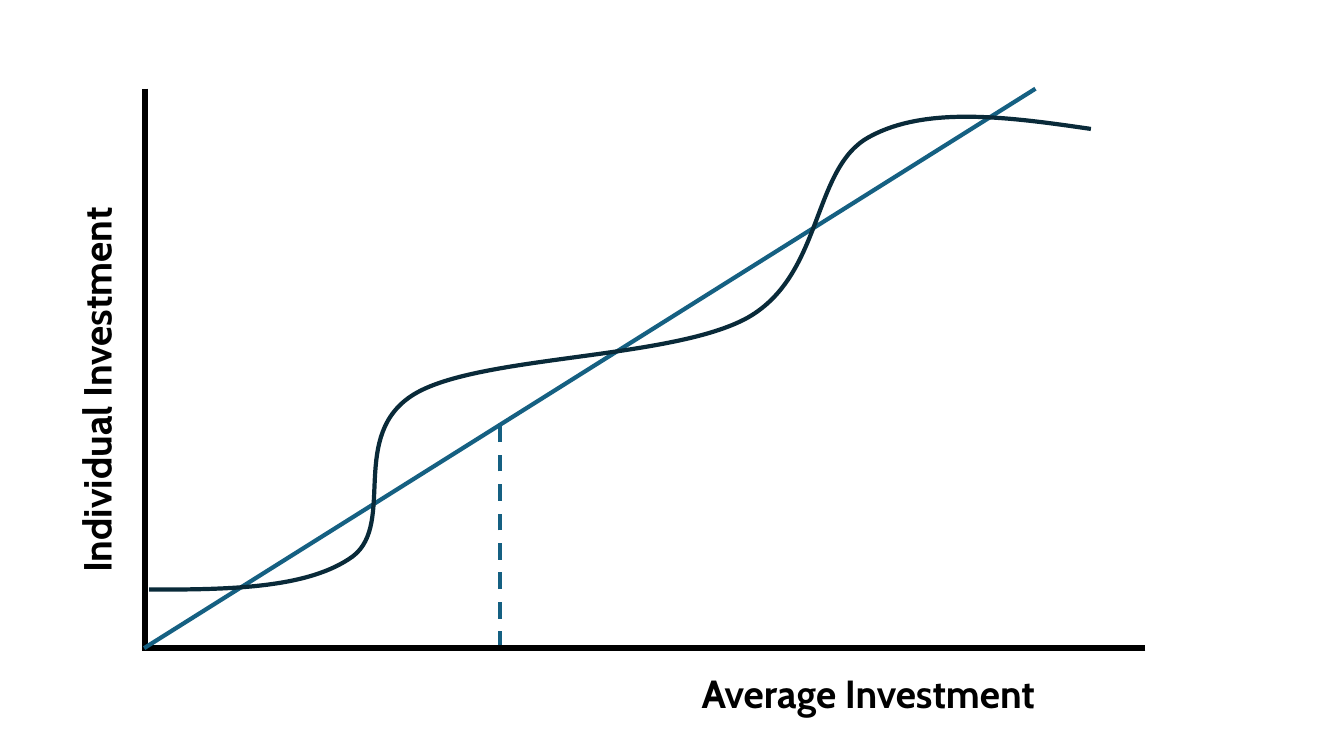
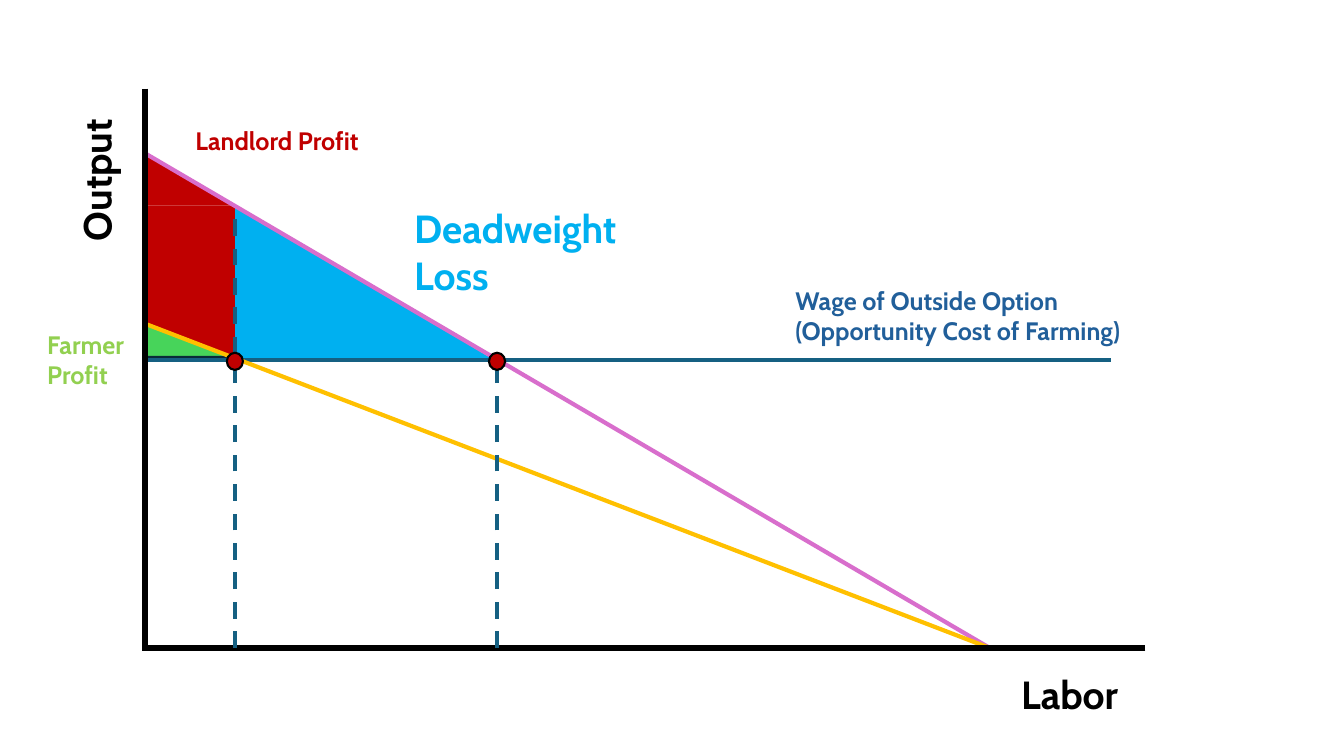
import pptx
import pptx.util
import pptx.dml.color
import pptx.enum.dml
import pptx.enum.shapes
import pptx.enum.text
import pptx.oxml.ns
import lxml.etree

SHAPE = pptx.enum.shapes.MSO_SHAPE
IN = pptx.util.Inches
QN = pptx.oxml.ns.qn

COLORS = {
    "axis": "000000",
    "guide": "156082",
    "curve": "092A39",
    "loss": "00B0F0",
    "landlord": "C00000",
    "farmer": "47D45A",
    "farmer_label": "92D050",
    "wage": "215F9A",
    "full_output": "D86ECC",
    "tenant_output": "FFC000",
}
FONT = "Cabin"
SLIDE_W, SLIDE_H = 13.33, 7.5
AXIS_X, AXIS_Y, AXIS_TOP, AXIS_END = 1.44, 6.43, 0.88, 11.36
INNER_X = 1.46
WAGE_Y = 3.57
SHARE_X, EFFICIENT_X = 2.33, 4.93
LABOR_END = 9.82
DOT_W, DOT_H = 0.16, 0.17
BIG, SMALL = 28, 18

AXES = ("axes",)

INVESTMENT = [
    ("line", (4.96, AXIS_Y), (4.96, 4.21), "guide", "dash"),
    AXES,
    ("line", (1.43, AXIS_Y), (10.27, AXIS_TOP), "guide"),
    ("label", "Individual Investment", (-1.27, 3.27, 4.45, 0.57), BIG, "axis", 270),
    ("label", "Average Investment", (6.86, 6.59, 3.78, 0.57), BIG, "axis"),
    ("curve", (1.48, 1.16, 9.34, 4.7), (1.48, 5.85), [
        ((2.27, 5.85), (3.06, 5.84), (3.5, 5.52)),
        ((3.93, 5.19), (3.45, 4.31), (4.11, 3.91)),
        ((4.76, 3.52), (6.67, 3.57), (7.42, 3.15)),
        ((8.17, 2.72), (8.05, 1.67), (8.62, 1.36)),
        ((9.18, 1.05), (10, 1.16), (10.82, 1.28)),
    ], "curve"),
]

SHARECROPPING = [
    ("area", SHAPE.ISOSCELES_TRIANGLE, (SHARE_X, 2.03, 2.57, 1.54), "loss", None, 0),
    ("area", SHAPE.ISOSCELES_TRIANGLE, (INNER_X, 1.54, 0.87, 0.5), "landlord", None, 0),
    ("area", SHAPE.RECTANGLE, (INNER_X, 2.04, 0.87, 1.5), "landlord"),
    ("area", SHAPE.ISOSCELES_TRIANGLE, (AXIS_X, 3.22, 0.87, 0.32), "farmer", "curve", 0.02),
    ("line", (AXIS_X, WAGE_Y), (11.02, WAGE_Y), "guide"),
    ("line", (1.42, 1.51), (LABOR_END, AXIS_Y), "full_output"),
    ("line", (INNER_X, 3.22), (LABOR_END, AXIS_Y), "tenant_output"),
    AXES,
    ("label", "Output", (0.15, 1.4, 1.61, 0.57), BIG, "axis", 270),
    ("label", "Labor", (10.03, 6.6, 1.32, 0.57), BIG, "axis"),
    ("label", "Landlord Profit", (1.84, 1.19, 4.12, 0.4), SMALL, "landlord"),
    ("label", "Farmer Profit", (0.37, 3.22, 1.09, 0.71), SMALL, "farmer_label"),
    ("label", "Wage of Outside Option (Opportunity Cost of Farming)",
     (7.79, 2.78, 4.12, 0.71), SMALL, "wage"),
    ("line", (EFFICIENT_X, AXIS_Y), (EFFICIENT_X, 3.67), "guide", "dash"),
    ("dot", EFFICIENT_X),
    ("line", (SHARE_X, AXIS_Y), (SHARE_X, 2.09), "guide", "dash"),
    ("dot", SHARE_X),
    ("label", "Deadweight Loss", (4.01, 1.98, 2.85, 1.04), BIG, "loss"),
]


def rgb(name):
    return pptx.dml.color.RGBColor.from_string(COLORS[name])


def set_stroke(stroke, color, width):
    stroke.color.rgb = rgb(color)
    stroke.width = pptx.util.Pt(width)


def draw_line(shapes, start, end, color, style="solid", width=3):
    line = shapes.add_connector(pptx.enum.shapes.MSO_CONNECTOR.STRAIGHT,
                                *(IN(v) for v in (*start, *end)))
    set_stroke(line.line, color, width)
    if style == "dash":
        line.line.dash_style = pptx.enum.dml.MSO_LINE.DASH
    lxml.etree.SubElement(line._element.spPr, QN("a:effectLst"))


def draw_axes(shapes):
    axes = shapes.add_group_shape().shapes
    draw_line(axes, (AXIS_X, AXIS_TOP), (AXIS_X, AXIS_Y + 0.03), "axis", width=4.5)
    draw_line(axes, (AXIS_END, AXIS_Y), (AXIS_X - 0.02, AXIS_Y), "axis", width=4.5)


def draw_label(shapes, text, place, size, color, rotation=0):
    label = shapes.add_textbox(*(IN(v) for v in place))
    label.rotation = rotation
    frame = label.text_frame
    frame.word_wrap = True
    frame.auto_size = pptx.enum.text.MSO_AUTO_SIZE.SHAPE_TO_FIT_TEXT
    run = frame.paragraphs[0].add_run()
    run.text = text
    run.font.color.rgb = rgb(color)
    formats = {"name": FONT, "size": pptx.util.Pt(size), "bold": True}
    for key, value in formats.items():
        setattr(run.font, key, value)


def draw_area(shapes, kind, place, fill, outline=None, apex=None):
    area = shapes.add_shape(kind, *(IN(v) for v in place))
    area.shadow.inherit = False
    area.fill.solid()
    area.fill.fore_color.rgb = rgb(fill)
    if outline:
        set_stroke(area.line, outline, 1.5)
    else:
        area.line.fill.background()
    if apex is not None:
        area.adjustments[0] = apex


def draw_dot(shapes, x):
    draw_area(shapes, SHAPE.OVAL, (x - DOT_W / 2, 3.5, DOT_W, DOT_H), "landlord", "axis")


def draw_curve(shapes, place, start, segments, color):
    left, top, width, height = (IN(v) for v in place)
    outline = shapes.build_freeform(*(IN(v) for v in start))
    outline.add_line_segments([tuple(IN(v) for v in segment[-1]) for segment in segments],
                              close=False)
    curve = outline.convert_to_shape()
    frame = {"left": left, "top": top, "width": width, "height": height}
    for key, value in frame.items():
        setattr(curve, key, value)

    trace = next(curve._element.iter(QN("a:pathLst")))[0]
    trace.set("w", str(width))
    trace.set("h", str(height))
    for step in list(trace):
        trace.remove(step)
    for command, points in [("a:moveTo", [start])] + [("a:cubicBezTo", s) for s in segments]:
        step = lxml.etree.SubElement(trace, QN(command))
        for x, y in points:
            lxml.etree.SubElement(step, QN("a:pt"), x=str(IN(x) - left), y=str(IN(y) - top))

    curve.shadow.inherit = False
    curve.fill.background()
    set_stroke(curve.line, color, 3)


DRAW = {"line": draw_line, "axes": draw_axes, "label": draw_label,
        "area": draw_area, "dot": draw_dot, "curve": draw_curve}


def main():
    deck = pptx.Presentation()
    deck.slide_width, deck.slide_height = IN(SLIDE_W), IN(SLIDE_H)
    for diagram in (INVESTMENT, SHARECROPPING):
        slide = deck.slides.add_slide(deck.slide_layouts[6])
        for kind, *details in diagram:
            DRAW[kind](slide.shapes, *details)
    deck.save("out.pptx")


if __name__ == "__main__":
    main()
